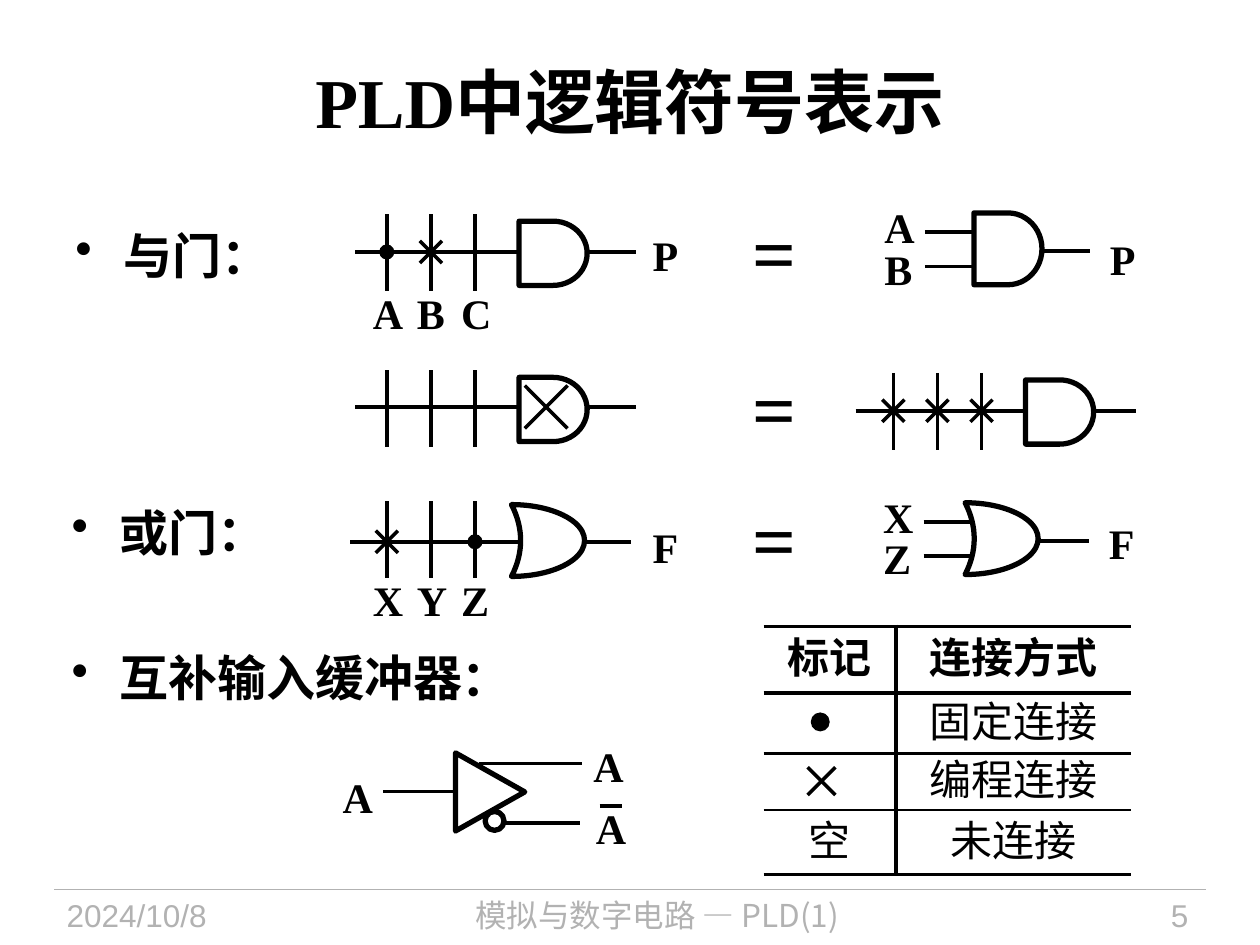
from lxml import etree
from pptx import Presentation
from pptx.dml.color import RGBColor
from pptx.enum.shapes import MSO_CONNECTOR, MSO_SHAPE
from pptx.enum.text import MSO_ANCHOR, PP_ALIGN
from pptx.oxml.ns import qn
from pptx.util import Inches, Pt

STRAIGHT = MSO_CONNECTOR.STRAIGHT
OVAL, TRIANGLE = MSO_SHAPE.OVAL, MSO_SHAPE.ISOSCELES_TRIANGLE
AND, OR = MSO_SHAPE.FLOWCHART_DELAY, MSO_SHAPE.MOON
LEFT, CENTER, RIGHT = PP_ALIGN.LEFT, PP_ALIGN.CENTER, PP_ALIGN.RIGHT
TOP, MIDDLE = MSO_ANCHOR.TOP, MSO_ANCHOR.MIDDLE

COLORS = {"ink": "000000", "paper": "FFFFFF", "footer": "B2B2B2"}
SERIF, SANS, CHINESE = "Times New Roman", "Arial", "Noto Sans CJK SC"

# The slide is a grid of 100 columns by 75 rows; every length counts cells.
WIDTH, HEIGHT = Inches(10), Inches(7.5)
COLUMN, ROW = WIDTH / 100, HEIGHT / 75
WIRE_GAP = 3.5


def cells(left, top, width, height):
    """Turn grid cells into slide lengths."""
    return [round(left * COLUMN), round(top * ROW), round(width * COLUMN), round(height * ROW)]


def color(name):
    return RGBColor.from_string(COLORS[name])


def write_text(frame, text, size=24, font=SERIF, bold=True, ink="ink",
               align=LEFT, anchor=TOP, bullet=False):
    frame.word_wrap = True
    frame.vertical_anchor = anchor
    paragraph = frame.paragraphs[0]
    paragraph.alignment = align
    run = paragraph.add_run()
    run.text = text
    run.font.size, run.font.bold, run.font.name = Pt(size), bold, font
    run.font.color.rgb = color(ink)
    etree.SubElement(run._r.get_or_add_rPr(), qn("a:ea"), typeface=CHINESE)
    if bullet:
        properties = paragraph._p.get_or_add_pPr()
        properties.set("marL", str(Inches(0.38)))
        properties.set("indent", str(-Inches(0.38)))
        etree.SubElement(properties, qn("a:buChar"), char="•")
    return paragraph


def add_text(shapes, box, text, inset=True, **text_format):
    frame = shapes.add_textbox(*cells(*box)).text_frame
    if not inset:
        frame.margin_left = frame.margin_top = frame.margin_right = frame.margin_bottom = 0
    write_text(frame, text, **text_format)


def add_label(shapes, left, top, letter):
    add_text(shapes, (left, top, 3, 3), letter, inset=False)


def add_line(shapes, x1, y1, x2, y2, weight=2, ink="ink"):
    line = shapes.add_connector(STRAIGHT, *cells(x1, y1, x2, y2))
    line.line.width = Pt(weight)
    line.line.color.rgb = color(ink)
    etree.SubElement(line._element.spPr, qn("a:effectLst"))


def add_outline(shapes, kind, box, fill="paper", weight=3):
    shape = shapes.add_shape(kind, *cells(*box))
    shape.shadow.inherit = False
    shape.fill.solid()
    shape.fill.fore_color.rgb = color(fill)
    shape.line.width = Pt(weight)
    shape.line.color.rgb = color("ink")
    return shape


def add_dot(shapes, x, y, size=1.1):
    add_outline(shapes, OVAL, (x - size / 2, y - size / 2, size, size), "ink", 0.75)


def add_cross(shapes, x, y, reach=0.88):
    add_line(shapes, x - reach, y - reach, x + reach, y + reach)
    add_line(shapes, x + reach, y - reach, x - reach, y + reach)


MARKS = {"●": add_dot, "×": add_cross}


def add_gate(shapes, kind, left, middle, height):
    if kind == OR:
        gate = add_outline(shapes, OR, (left - 0.6, middle - height / 2, 5.8, height))
        gate.adjustments[0] = 0.875
        gate._element.spPr.get_or_add_xfrm().set("flipH", "1")
    else:
        add_outline(shapes, AND, (left, middle - height / 2, 5.4, height))


def array_gate(slide, left, top, kind=AND, marks="   ", letters="", output="",
               lead=2.5, wire=3, output_row=1.2, gate_cross=False):
    """A gate behind three vertical wires; left and top are those of the first wire."""
    shapes = slide.shapes.add_group_shape().shapes
    middle = top + wire
    add_line(shapes, left - lead, middle, left + 22.3 - lead, middle, 2.25)
    for index, mark in enumerate(marks):
        x = left + index * WIRE_GAP
        add_line(shapes, x, top, x, top + 6.1)
        if mark in MARKS:
            MARKS[mark](shapes, x, middle)
    for index, letter in enumerate(letters):
        add_label(shapes, left - 1.1 + index * WIRE_GAP, top + 5.8, letter)
    add_gate(shapes, kind, left + 10.5, top + 3.1, 5.7 if kind == OR else 5.1)
    if gate_cross:
        add_cross(shapes, left + 12.65, middle, 1.7)
    if output:
        add_label(shapes, left + 21.1, top + output_row, output)


def plain_gate(slide, left, top, kind, letters, output, output_row):
    """A two-input gate; left is the start of its inputs, top that of the gate."""
    shapes = slide.shapes.add_group_shape().shapes
    add_gate(shapes, kind, left + 3.9, top + 2.85, 5.7)
    for letter, label_row, wire_row in zip(letters, (-0.9, 2.4), (1.5, 4.25)):
        add_label(shapes, left - 3.2, top + label_row, letter)
        add_line(shapes, left, top + wire_row, left + 3.9, top + wire_row, 2.25)
    add_line(shapes, left + 9.1, top + 3.05, left + 13.1, top + 3.05, 2.25)
    add_label(shapes, left + 14.7, top + output_row, output)


def input_buffer(slide, left, top):
    shapes = slide.shapes.add_group_shape().shapes
    add_line(shapes, left + 3.2, top + 4, left + 9, top + 4)
    add_line(shapes, left + 10.8, top + 1.8, left + 19, top + 1.8)
    add_line(shapes, left + 12.9, top + 6.5, left + 18.8, top + 6.5)
    triangle = add_outline(shapes, TRIANGLE, (left + 8.6, top + 1.3, 6.2, 5.5))
    triangle.rotation = 90
    add_outline(shapes, OVAL, (left + 11.3, top + 5.6, 1.5, 1.5))
    for x, y in ((0, 2.4), (19.9, 0), (20.1, 4.9)):
        add_label(shapes, left + x, top + y, "A")
    add_line(shapes, left + 20.4, top + 5.2, left + 22.2, top + 5.2, 2.25)


def set_border(cell, side, weight):
    """Draw one side of a cell, or clear it when the weight is 0."""
    border = etree.SubElement(cell._tc.get_or_add_tcPr(), qn("a:ln" + side), w=str(Pt(weight)))
    if weight:
        fill = etree.SubElement(border, qn("a:solidFill"))
        etree.SubElement(fill, qn("a:srgbClr"), val=COLORS["ink"])
    else:
        etree.SubElement(border, qn("a:noFill"))


def mark_table(slide, left, top):
    entries = [("标记", "连接方式"), ("", "固定连接"), ("", "编程连接"), ("空", "未连接")]
    widths, heights = (10.5, 18.7), (5.3, 4.8, 4.5, 5.1)
    rules = (2.25, 2.25, 1.5, 1.5, 2.25)
    table = slide.shapes.add_table(
        len(entries), len(widths), *cells(left, top, sum(widths), sum(heights))).table
    table.first_row = table.horz_banding = False
    for column, width in zip(table.columns, widths):
        column.width = round(width * COLUMN)
    for row_index, (row, height) in enumerate(zip(table.rows, heights)):
        row.height = round(height * ROW)
        for column_index, text in enumerate(entries[row_index]):
            cell = row.cells[column_index]
            weights = (2.25 * column_index, 2.25 * (1 - column_index),
                       rules[row_index], rules[row_index + 1])
            for side, weight in zip("LRTB", weights):
                set_border(cell, side, weight)
            cell.fill.background()
            cell.margin_top = cell.margin_bottom = 0
            cell.vertical_anchor = MIDDLE
            if text:
                paragraph = write_text(cell.text_frame, text, font=SANS, bold=row_index == 0,
                                       align=CENTER, anchor=MIDDLE)
                paragraph.line_spacing = Pt(30)
    add_dot(slide.shapes, left + 4.5, top + 7.6, 1.4)
    add_cross(slide.shapes, left + 4.6, top + 12.3, 1.1)


def title(slide, box):
    shape = slide.shapes.title
    shape.left, shape.top, shape.width, shape.height = cells(*box)
    write_text(shape.text_frame, "PLD中逻辑符号表示", size=40, align=CENTER, anchor=MIDDLE)


def footer(slide, top):
    add_line(slide.shapes, 4.3, top, 95.7, top, 0.75, "footer")
    for left, width, text, font, align in (
            (4.3, 18.8, "2024/10/8", SANS, LEFT),
            (24, 56.3, "模拟与数字电路 — PLD(1)", CHINESE, CENTER),
            (82, 13.3, "5", SANS, RIGHT)):
        add_text(slide.shapes, (left, top, width, 4.4), text, size=18, font=font,
                 bold=False, ink="footer", align=align)


def main():
    presentation = Presentation()
    presentation.slide_width, presentation.slide_height = WIDTH, HEIGHT
    slide = presentation.slides.add_slide(presentation.slide_layouts[5])
    title(slide, (5, 1.7, 90, 12.5))
    for left, top, width, text in ((5, 17.4, 21.8, "与门："), (4.7, 39.4, 19.7, "或门："),
                                   (4.7, 50.9, 48.8, "互补输入缓冲器：")):
        add_text(slide.shapes, (left, top, width, 7.5), text, size=28, bullet=True)
    for top in (16.2, 28.6, 39):
        add_text(slide.shapes, (59.7, top, 3.5, 7.3), "=", inset=False, size=44)
    array_gate(slide, 30.7, 17, marks="●× ", letters="ABC", output="P")
    array_gate(slide, 30.7, 29.4, wire=2.9, gate_cross=True)
    array_gate(slide, 70.9, 29.6, marks="×××", lead=3)
    array_gate(slide, 30.7, 39.8, OR, "× ●", "XYZ", "F", lead=2.9, wire=3.2, output_row=1.6)
    plain_gate(slide, 73.4, 16.9, AND, "AB", "P", 1.6)
    plain_gate(slide, 73.3, 39.9, OR, "XZ", "F", 1.2)
    input_buffer(slide, 27.2, 58.8)
    mark_table(slide, 60.6, 49.7)
    footer(slide, 70.6)
    presentation.save("out.pptx")


if __name__ == "__main__":
    main()
